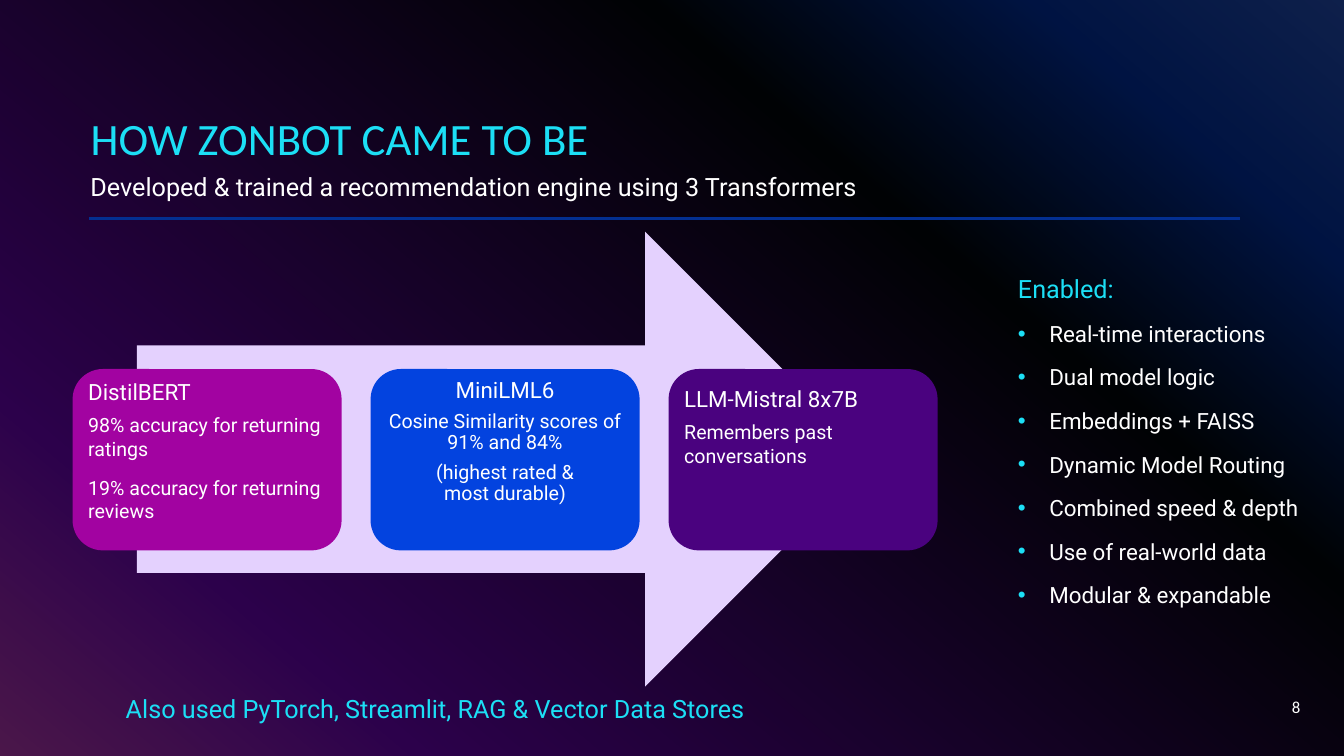
from lxml.etree import SubElement
from pptx import Presentation
from pptx.dml.color import RGBColor
from pptx.enum.shapes import MSO_CONNECTOR, MSO_SHAPE
from pptx.enum.text import MSO_ANCHOR, MSO_AUTO_SIZE, PP_ALIGN
from pptx.oxml.ns import qn
from pptx.util import Cm, Pt

THEME = {
    "cyan": "1CDFF5", "white": "FFFFFF", "black": "000000", "rule": "032F91",
    "lilac": "E4D1FE", "pink": "A203A1", "blue": "0343DF", "plum": "4A027F",
    "back": [(0, "316CFC"), (14, "0343DF"), (31, "02090E"),
             (81, "9405FC"), (100, "FC4EFB")],
    "head": "Calibri", "body": "Roboto",
    "title": 32, "lead": 18, "item": 16, "note": 14, "page": 12,
}
TITLE = "HOW ZONBOT CAME TO BE"
LEAD = "Developed & trained a recommendation engine using 3 Transformers"
FOOT = "Also used PyTorch, Streamlit, RAG & Vector Data Stores"
PAGE = "8"
LIST = "Enabled:"
ITEMS = ["Real-time interactions", "Dual model logic", "Embeddings + FAISS",
         "Dynamic Model Routing", "Combined speed & depth",
         "Use of real-world data", "Modular & expandable"]
CARDS = [
    {"name": "DistilBERT", "fill": "pink", "top": 0, "gap": 11,
     "align": PP_ALIGN.LEFT, "space": 1.0,
     "notes": ["98% accuracy for returning ratings",
               "19% accuracy for returning reviews"]},
    {"name": "MiniLML6", "fill": "blue", "top": 0.03, "gap": 6,
     "align": PP_ALIGN.CENTER, "space": 0.9,
     "notes": ["Cosine Similarity scores of 91% and 84%",
               "(highest rated &\vmost durable)"]},
    {"name": "LLM-Mistral 8x7B", "fill": "plum", "top": 0.17, "gap": 6,
     "align": PP_ALIGN.LEFT, "space": 1.0,
     "notes": ["Remembers past conversations"]},
]
CARD = {"left": 1.83, "top": 9.3, "wide": 6.78, "high": 4.57, "step": 7.51}


def tint(name):
    return RGBColor.from_string(THEME[name])


def write(frame, text, size="lead", color="white", font="body",
          align=PP_ALIGN.LEFT, space=1.0, before=0, after=0,
          indent=0, bullet=None):
    para = frame.paragraphs[0]
    if para.text:
        para = frame.add_paragraph()
    para.text = text
    props = para._p.get_or_add_pPr()
    props.set("marL", str(Cm(indent)))
    props.set("indent", str(-Cm(indent)))
    if bullet:
        shade = SubElement(props, qn("a:buClr"))
        SubElement(shade, qn("a:srgbClr"), val=THEME["cyan"])
        SubElement(props, qn("a:buFont"), typeface="Arial")
        SubElement(props, qn("a:buChar"), char=bullet)
    else:
        SubElement(props, qn("a:buNone"))
    para.alignment = align
    para.line_spacing = space
    para.space_before, para.space_after = Pt(before), Pt(after)
    for run in para.runs:
        run.font.size = Pt(THEME[size])
        run.font.name = THEME[font]
        run.font.color.rgb = tint(color)


def place(shape, left, top, wide, high):
    shape.left, shape.top = Cm(left), Cm(top)
    shape.width, shape.height = Cm(wide), Cm(high)
    frame = shape.text_frame
    frame.word_wrap = True
    frame.auto_size = MSO_AUTO_SIZE.NONE
    return frame


def label(slide, left, top, wide, high):
    box = slide.shapes.add_textbox(0, 0, 0, 0)
    return place(box, left, top, wide, high)


def block(slide, kind, fill, left, top, wide, high):
    shape = slide.shapes.add_shape(kind, Cm(left), Cm(top), Cm(wide), Cm(high))
    shape.shadow.inherit = False
    shape.fill.solid()
    shape.fill.fore_color.rgb = tint(fill)
    shape.line.fill.background()
    return shape


def paint(slide):
    fill = slide.background.fill
    fill.gradient()
    fill.gradient_angle = 230
    stops = slide.element.xpath(".//a:gsLst")[0]
    for stop in list(stops):
        stops.remove(stop)
    for spot, color in THEME["back"]:
        stop = SubElement(stops, qn("a:gs"), pos=str(spot * 1000))
        SubElement(stop, qn("a:srgbClr"), val=color)
    veil = block(slide, MSO_SHAPE.RECTANGLE, "black", 0, 0, 33.87, 19.05)
    shade = veil.fill._xPr.find(qn("a:solidFill"))[0]
    SubElement(shade, qn("a:alpha"), val="70000")
    tree = slide.shapes._spTree
    tree.remove(veil._element)
    tree.insert(2, veil._element)


def draw_card(slide, rank, card):
    shape = block(slide, MSO_SHAPE.ROUNDED_RECTANGLE, card["fill"],
                  CARD["left"] + rank * CARD["step"], CARD["top"],
                  CARD["wide"], CARD["high"])
    frame = shape.text_frame
    frame.word_wrap = True
    frame.vertical_anchor = MSO_ANCHOR.TOP
    frame.margin_left = frame.margin_right = Cm(0.17)
    frame.margin_top, frame.margin_bottom = Cm(card["top"]), 0
    look = {"align": card["align"], "space": card["space"]}
    write(frame, card["name"], size="item", after=6, **look)
    for note in card["notes"]:
        write(frame, note, size="note", after=card["gap"], **look)


def main():
    deck = Presentation()
    deck.slide_width, deck.slide_height = Cm(33.87), Cm(19.05)
    slide = deck.slides.add_slide(deck.slide_layouts[1])
    paint(slide)

    rule = slide.shapes.add_connector(
        MSO_CONNECTOR.STRAIGHT, Cm(2.24), Cm(5.51), Cm(31.24), Cm(5.51))
    rule.line.color.rgb = tint("rule")
    rule.line.width = Pt(2)
    SubElement(rule._element.spPr, qn("a:effectLst"))

    title = place(slide.shapes.title, 2.03, 0.61, 29.21, 3.68)
    title.vertical_anchor = MSO_ANCHOR.BOTTOM
    write(title, TITLE, size="title", color="cyan", font="head", space=0.9)

    body = place(slide.placeholders[1], 25.4, 6.68, 7.92, 9.53)
    body.vertical_anchor = MSO_ANCHOR.TOP
    write(body, LIST, color="cyan", space=1.1)
    for item in ITEMS:
        write(body, item, size="item", space=1.1, before=10,
              indent=0.79, bullet="•")

    page = label(slide, 25.4, 17.3, 7.62, 1.02)
    page.vertical_anchor = MSO_ANCHOR.MIDDLE
    write(page, PAGE, size="page", font="head", align=PP_ALIGN.RIGHT)

    block(slide, MSO_SHAPE.RIGHT_ARROW, "lilac", 3.45, 5.84, 18.54, 11.46)
    for rank, card in enumerate(CARDS):
        draw_card(slide, rank, card)

    write(label(slide, 2.92, 17.35, 20.29, 1.02), FOOT, color="cyan")
    write(label(slide, 2.03, 4.19, 24.21, 1.02), LEAD)
    deck.save("out.pptx")


if __name__ == "__main__":
    main()
